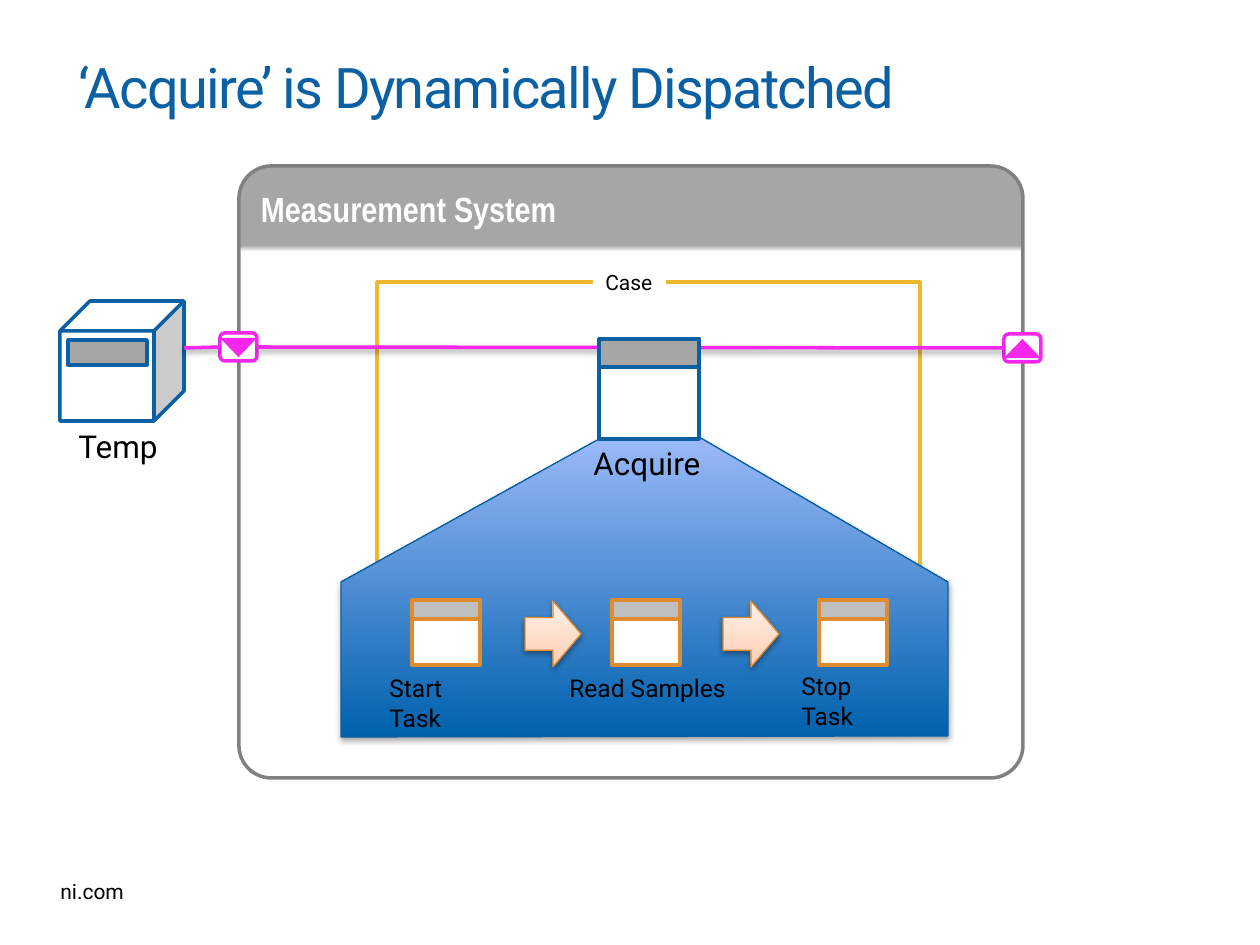
from lxml import etree
from pptx import Presentation
from pptx import util as u
from pptx.dml.color import RGBColor
from pptx.enum import shapes, text
from pptx.oxml import ns

PX = 914400 / 126
BLUE, PINK, ORANGE, GRAY = "0A60A3", "F527ED", "DE8C2D", "A6A6A6"
KIND = shapes.MSO_SHAPE
TOP, LEFT, BOTTOM, RIGHT = range(4)


def px(value):
    return u.Emu(round(value * PX))


def rgb(value):
    return RGBColor.from_string(value)


def add_color(parent, value, alpha=None):
    color = etree.SubElement(parent, ns.qn("a:srgbClr"), val=value)
    if alpha:
        etree.SubElement(color, ns.qn("a:alpha"), val=str(alpha * 1000))


class Diagram:
    font = "Roboto"

    def __init__(self, slide):
        self.slide = slide

    def style(self, shape, fill=None, line=None, width=2, shadow=0):
        """Fill is a hex string, or (angle, stops) for a gradient."""
        if isinstance(fill, tuple):
            self.gradient(shape, *fill)
        elif fill:
            shape.fill.solid()
            shape.fill.fore_color.rgb = rgb(fill)
        else:
            shape.fill.background()
        if line:
            shape.line.color.rgb = rgb(line)
            shape.line.width = u.Pt(width)
        else:
            shape.line.fill.background()
        shape.shadow.inherit = False
        self.shadow(shape, shadow)
        return shape

    def gradient(self, shape, angle, stops):
        shape.fill.solid()
        properties = shape._element.spPr
        grad = etree.Element(ns.qn("a:gradFill"), rotWithShape="1")
        stop_list = etree.SubElement(grad, ns.qn("a:gsLst"))
        for position, color in stops:
            add_color(etree.SubElement(stop_list, ns.qn("a:gs"), pos=str(position * 1000)), color)
        etree.SubElement(grad, ns.qn("a:lin"), ang=str(angle * 60000), scaled="0")
        properties.replace(properties.find(ns.qn("a:solidFill")), grad)

    def shadow(self, shape, alpha):
        properties = shape._element.spPr
        effects = properties.find(ns.qn("a:effectLst"))
        if effects is None:
            effects = etree.SubElement(properties, ns.qn("a:effectLst"))
        if alpha:
            outer = etree.SubElement(effects, ns.qn("a:outerShdw"), blurRad="40000",
                                     dist="20000", dir="5400000", rotWithShape="0")
            add_color(outer, "000000", alpha)

    def shape(self, kind, x, y, w, h, *style, **options):
        box = self.slide.shapes.add_shape(kind, px(x), px(y), px(w), px(h))
        return self.style(box, *style, **options)

    def outline(self, points, *style, **options):
        builder = self.slide.shapes.build_freeform(*points[0], scale=PX)
        builder.add_line_segments(points[1:], close=True)
        return self.style(builder.convert_to_shape(), *style, **options)

    def set_text(self, shape, words, size, color="000000", font=None, bold=False,
                 align=text.PP_ALIGN.LEFT, anchor=text.MSO_ANCHOR.TOP, wrap=True):
        frame = shape.text_frame
        frame.word_wrap = wrap
        frame.vertical_anchor = anchor
        paragraph = frame.paragraphs[0]
        paragraph.text = words
        paragraph.alignment = align
        face = paragraph.font
        face.name, face.size, face.bold = font or self.font, u.Pt(size), bold
        face.color.rgb = rgb(color)
        return paragraph

    def label(self, words, x, y, w, h, size, **options):
        box = self.slide.shapes.add_textbox(px(x), px(y), px(w), px(h))
        self.set_text(box, words, size, **options)

    def icon(self, x, y, w, h, header, line, fill):
        """A window with a filled header strip."""
        self.shape(KIND.RECTANGLE, x, y, w, h, "FFFFFF", line)
        self.shape(KIND.RECTANGLE, x, y, w, header, fill, line)

    def port(self, x, y, turn):
        """A terminal with a triangle that is turned by the given angle."""
        terminal = self.shape(KIND.ROUNDED_RECTANGLE, x, y, 37, 28, "FFFFFF", PINK)
        self.shape(KIND.ISOSCELES_TRIANGLE, x, y + 5, 37, 19, PINK).rotation = turn
        return terminal

    def wire(self, x1, y1, x2, y2):
        line = self.slide.shapes.add_connector(
            shapes.MSO_CONNECTOR.STRAIGHT, px(x1), px(y1), px(x2), px(y2))
        line.line.color.rgb = rgb(PINK)
        line.line.width = u.Pt(2)
        self.shadow(line, 38)
        return line


def main():
    deck = Presentation()
    deck.slide_width, deck.slide_height = px(1260), px(945)
    slide = deck.slides.add_slide(deck.slide_layouts[5])
    d = Diagram(slide)

    # Title and footer
    title = slide.shapes.title
    title.left, title.top, title.width, title.height = px(66), px(20), px(1125), px(132)
    heading = d.set_text(title, "‘Acquire’ is Dynamically Dispatched", 32, BLUE,
                         anchor=text.MSO_ANCHOR.MIDDLE)
    heading.runs[0].font._element.set("spc", "-100")
    d.label("ni.com", 48, 872, 89, 38, 12, wrap=False)

    # Measurement system frame
    system = d.shape(KIND.ROUNDED_RECTANGLE, 239, 166, 784, 612,
                     (90, [(12, GRAY), (13, GRAY), (14, "FFFFFF")]), "808080")
    system.adjustments[0] = 0.053
    d.set_text(system, "Measurement System", 20, "FFFFFF", "Arial Narrow", True)
    system.text_frame.margin_top = px(12)

    # Case structure and the expanded view of Acquire
    d.shape(KIND.RECTANGLE, 377, 282, 543, 427, None, "EDB72E")
    d.outline([(601, 438), (341, 582), (341, 737), (948, 736), (948, 582), (699, 437)],
              (270, [(0, "0061AD"), (100, "9BB9F9")]), "065EA3", 0.75, shadow=35)
    case = d.shape(KIND.RECTANGLE, 593, 263, 73, 38, "FFFFFF")
    d.set_text(case, "Case", 12, anchor=text.MSO_ANCHOR.MIDDLE, wrap=False)

    # Ports and the wire between them
    port_in = d.port(220, 333, 180)
    port_out = d.port(1004, 334, 0)
    through = d.wire(1004, 348, 257, 347)
    through.begin_connect(port_out, LEFT)
    through.end_connect(port_in, RIGHT)

    # Steps inside Acquire
    steps = [("Start Task", 412, 377, 667, 130),
             ("Read Samples", 612, 557, 667, 190),
             ("Stop Task", 819, 789, 665, 129)]
    for name, icon_x, label_x, label_y, label_w in steps:
        d.icon(icon_x, 600, 68, 65, 19, ORANGE, "BFBFBF")
        d.label(name, label_x, label_y, label_w, 43, 14)
    for arrow_x in (525, 723):
        d.shape(KIND.RIGHT_ARROW, arrow_x, 601, 56, 66,
                (270, [(0, "FFCCAE"), (35, "FFDAC6"), (100, "FFF1E9")]),
                "DD8928", 0.75, shadow=38)

    # Acquire
    d.icon(599, 339, 100, 100, 28, BLUE, GRAY)
    d.label("Acquire", 581, 438, 132, 50, 18, wrap=False)

    # Temp object and its wire
    d.shape(KIND.CUBE, 60, 301, 124, 120, "FFFFFF", BLUE)
    d.shape(KIND.RECTANGLE, 68, 340, 79, 25, GRAY, BLUE)
    d.label("Temp", 0, 421, 236, 50, 18, align=text.PP_ALIGN.CENTER)
    d.wire(184, 348, 220, 347).end_connect(port_in, LEFT)

    deck.save("out.pptx")


if __name__ == "__main__":
    main()
